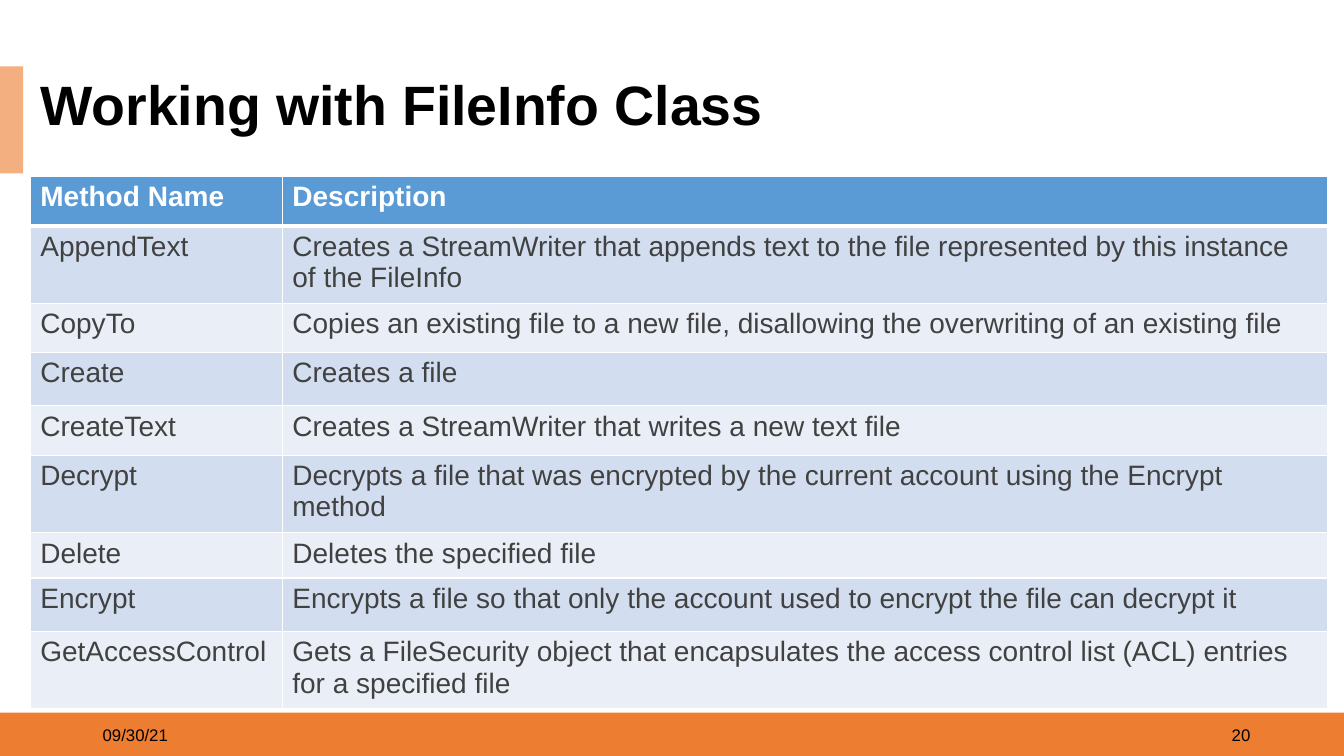
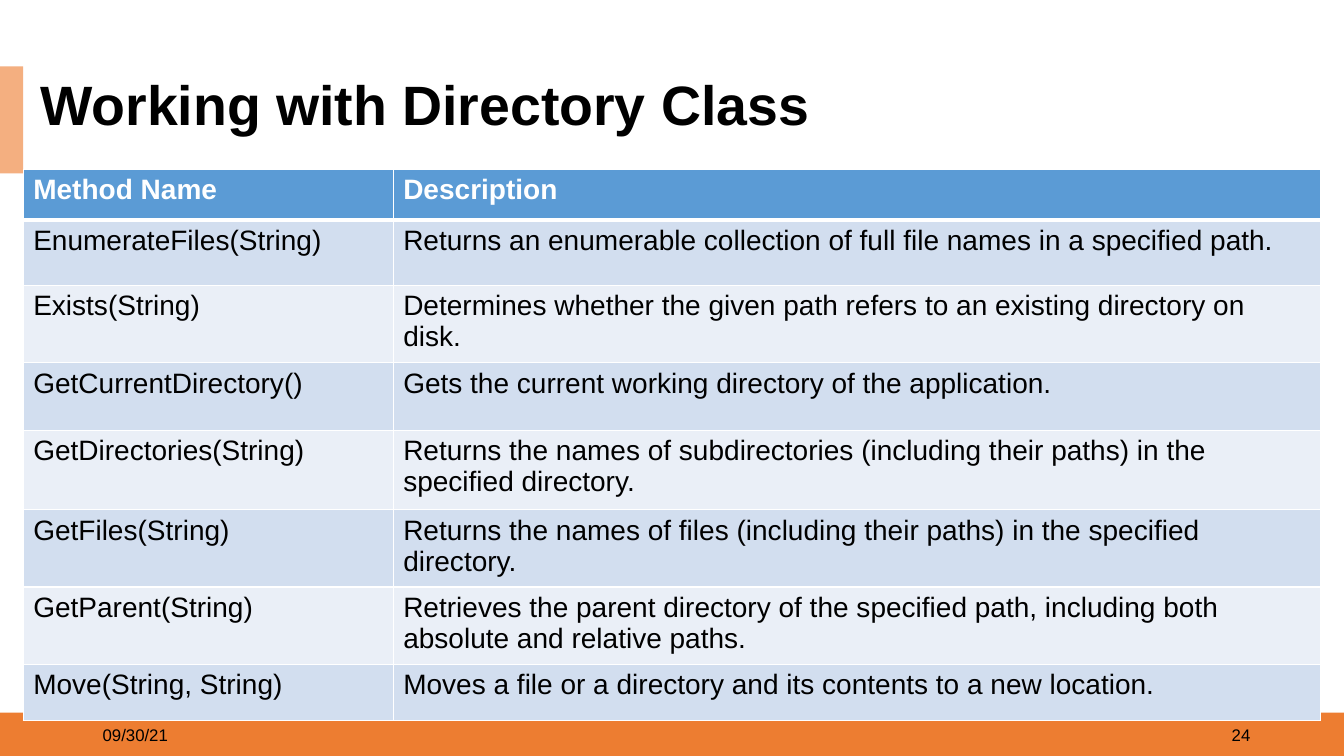
"""Two slides of method tables for the FileInfo and Directory classes."""
import pptx
import pptx.util
import pptx.dml.color
import pptx.enum.shapes
import pptx.enum.text
import pptx.oxml
import pptx.oxml.ns

Inches, Pt = pptx.util.Inches, pptx.util.Pt
PP_ALIGN = pptx.enum.text.PP_ALIGN
MIDDLE = pptx.enum.text.MSO_ANCHOR.MIDDLE


class Deck:
    """Hold the shared style and the current slide."""

    FONT = "Arial"
    COLORS = {
        "footer": "ED7D31",
        "accent": "F4AF80",
        "header": "5B9BD5",
        "odd": "D2DEEF",
        "even": "EAEFF7",
        "white": "FFFFFF",
        "black": "000000",
        "gray": "414141",
    }

    def __init__(self):
        """Start an empty widescreen presentation."""
        self.prs = pptx.Presentation()
        self.prs.slide_width = Inches(13.33)
        self.prs.slide_height = Inches(7.5)
        self.s = None

    def rgb(self, name):
        """Return the named colour."""
        return pptx.dml.color.RGBColor.from_string(self.COLORS[name])

    def fill(self, target, name):
        """Give a shape or cell a solid fill."""
        target.fill.solid()
        target.fill.fore_color.rgb = self.rgb(name)

    def run(self, p, text, size, color="black", bold=False):
        """Add one formatted run to a paragraph."""
        r = p.add_run()
        r.text = text
        r.font.name = self.FONT
        r.font.size = Pt(size)
        r.font.bold = bold
        r.font.color.rgb = self.rgb(color)

    def band(self, x, y, w, h, color):
        """Draw a plain coloured rectangle."""
        sp = self.s.shapes.add_shape(
            pptx.enum.shapes.MSO_SHAPE.RECTANGLE,
            Inches(x), Inches(y), Inches(w), Inches(h))
        sp.shadow.inherit = False
        sp.line.fill.background()
        self.fill(sp, color)

    def footer_text(self, x, text, align):
        """Write a small text in the footer band."""
        sp = self.s.shapes.add_textbox(Inches(x), Inches(7.09), Inches(3), Inches(0.4))
        tf = sp.text_frame
        tf.word_wrap = True
        tf.vertical_anchor = MIDDLE
        p = tf.paragraphs[0]
        p.alignment = align
        self.run(p, text, 12)

    def title(self, text, width):
        """Place and format the title placeholder."""
        sp = self.s.shapes.title
        sp.left, sp.top = Inches(0.3), Inches(0.75)
        sp.width, sp.height = Inches(width), Inches(0.63)
        self.fill(sp, "white")
        tf = sp.text_frame
        tf.word_wrap = True
        tf.auto_size = pptx.enum.text.MSO_AUTO_SIZE.NONE
        tf.vertical_anchor = MIDDLE
        p = tf.paragraphs[0]
        p.alignment = PP_ALIGN.LEFT
        p.line_spacing = 0.9
        self.run(p, text, 39.6, bold=True)

    def slide(self, title, title_width, number):
        """Start a slide with its title, bands and footer."""
        self.s = self.prs.slides.add_slide(self.prs.slide_layouts[5])
        self.band(0, 7.07, 13.33, 0.44, "footer")
        self.band(0, 0.66, 0.23, 1.06, "accent")
        self.title(title, title_width)
        self.footer_text(0.92, "09/30/21", PP_ALIGN.LEFT)
        self.footer_text(9.5, str(number), PP_ALIGN.RIGHT)

    def borders(self, cell, top, bottom):
        """Draw white borders, with top and bottom widths in points."""
        tcPr = cell._tc.get_or_add_tcPr()
        for side, width in (("L", 1), ("R", 1), ("T", top), ("B", bottom)):
            tcPr.append(pptx.oxml.parse_xml(
                f'<a:ln{side} {pptx.oxml.ns.nsdecls("a")} w="{Pt(width)}"><a:solidFill>'
                f'<a:srgbClr val="{self.COLORS["white"]}"/></a:solidFill></a:ln{side}>'))

    def table(self, x, y, widths, heights, methods, color):
        """Add a banded table of method names and descriptions."""
        rows = [("Method Name", "Description")] + methods
        table = self.s.shapes.add_table(
            len(rows), len(widths), Inches(x), Inches(y),
            Inches(sum(widths)), Inches(sum(heights))).table
        for column, width in zip(table.columns, widths):
            column.width = Inches(width)
        for i, (row, height, texts) in enumerate(zip(table.rows, heights, rows)):
            row.height = Inches(height)
            header = i == 0
            for cell, text in zip(row.cells, texts):
                self.borders(cell, 3 if i == 1 else 1, 3 if header else 1)
                self.fill(cell, "header" if header else "odd" if i % 2 else "even")
                p = cell.text_frame.paragraphs[0]
                if header:
                    p.space_before = p.space_after = Pt(6)
                self.run(p, text, 20, "white" if header else color, header)


FILE_INFO = [
    ("AppendText", "Creates a StreamWriter that appends text to the file "
                   "represented by this instance of the FileInfo"),
    ("CopyTo", "Copies an existing file to a new file, disallowing the "
               "overwriting of an existing file"),
    ("Create", "Creates a file"),
    ("CreateText", "Creates a StreamWriter that writes a new text file"),
    ("Decrypt", "Decrypts a file that was encrypted by the current account "
                "using the Encrypt method"),
    ("Delete", "Deletes the specified file"),
    ("Encrypt", "Encrypts a file so that only the account used to encrypt "
                "the file can decrypt it"),
    ("GetAccessControl", "Gets a FileSecurity object that encapsulates the access "
                         "control list (ACL) entries for a specified file"),
]

DIRECTORY = [
    ("EnumerateFiles(String)", "Returns an enumerable collection of full file names "
                               "in a specified path."),
    ("Exists(String)", "Determines whether the given path refers to an existing "
                       "directory on disk."),
    ("GetCurrentDirectory()", "Gets the current working directory of the application."),
    ("GetDirectories(String)", "Returns the names of subdirectories (including their "
                               "paths) in the specified directory."),
    ("GetFiles(String)", "Returns the names of files (including their paths) in the "
                         "specified directory."),
    ("GetParent(String)", "Retrieves the parent directory of the specified path, "
                          "including both absolute and relative paths."),
    ("Move(String, String)", "Moves a file or a directory and its contents to a "
                             "new location."),
]


def main():
    """Build both slides and save the file."""
    deck = Deck()
    deck.slide("Working with FileInfo Class", 8.15, 20)
    deck.table(0.3, 1.75, [2.5, 10.37],
               [0.49, 0.49, 0.49, 0.53, 0.49, 0.49, 0.45, 0.53, 0.52],
               FILE_INFO, "gray")
    deck.slide("Working with Directory Class", 9.02, 24)
    deck.table(0.23, 1.68, [3.67, 9.2],
               [0.5, 0.65, 0.65, 0.67, 0.79, 0.67, 0.61, 0.56],
               DIRECTORY, "black")
    deck.prs.save("out.pptx")


if __name__ == "__main__":
    main()
